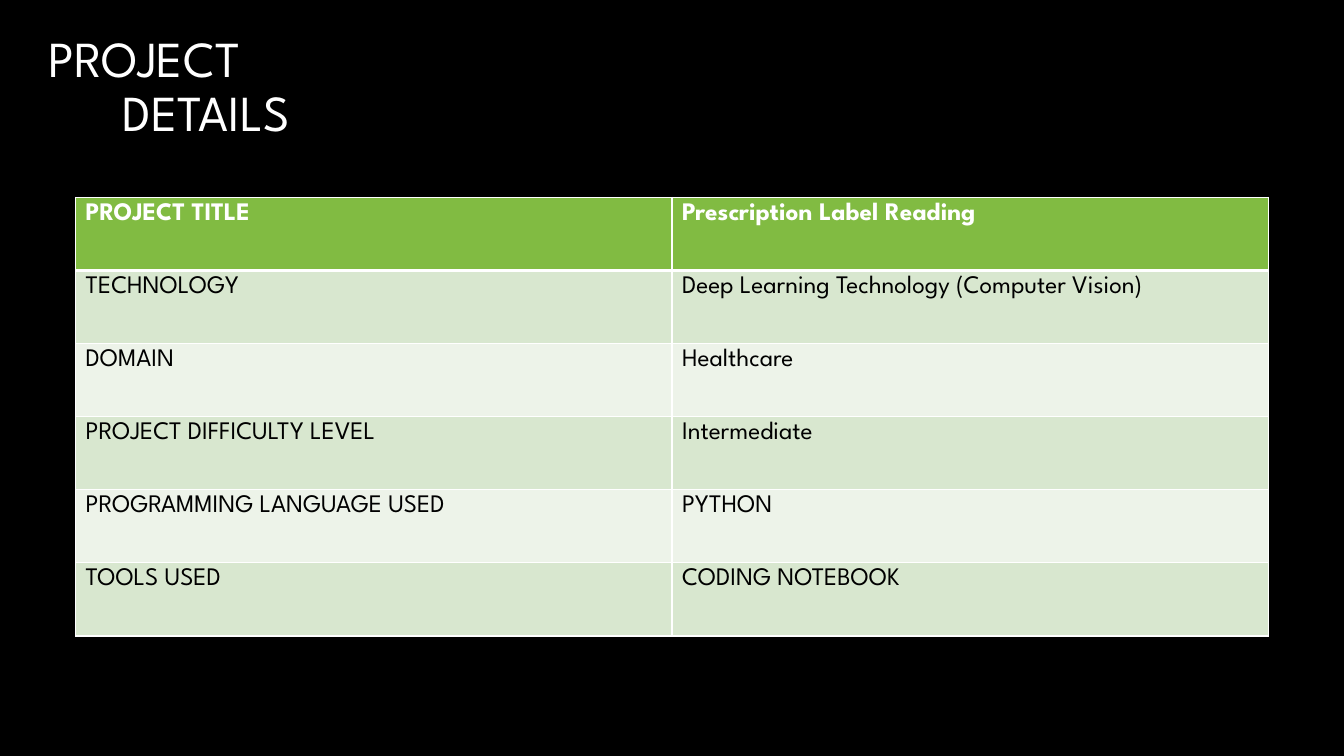
"""Build the project details slide: a title above a two-column table."""
from lxml import etree
from pptx import Presentation
from pptx.dml.color import RGBColor
from pptx.enum import text
from pptx.oxml import ns
from pptx.util import Inches, Pt

TITLE = "PROJECT DETAILS"
DETAILS = [
    ("PROJECT TITLE", "Prescription Label Reading"),
    ("TECHNOLOGY", "Deep Learning Technology (Computer Vision)"),
    ("DOMAIN", "Healthcare"),
    ("PROJECT DIFFICULTY LEVEL", "Intermediate"),
    ("PROGRAMMING LANGUAGE USED", "PYTHON"),
    ("TOOLS USED", "CODING NOTEBOOK"),
]

FONT = "League Spartan"
BLACK = RGBColor(0x00, 0x00, 0x00)
WHITE = RGBColor(0xFF, 0xFF, 0xFF)
GREEN = RGBColor(0x81, 0xBB, 0x42)
BANDS = [RGBColor(0xED, 0xF3, 0xE9), RGBColor(0xD8, 0xE7, 0xCF)]
TITLE_INDENT = Inches(0.74)


def style(paragraph, size, color, bold=False):
    font = paragraph.font
    font.name, font.size, font.bold = FONT, Pt(size), bold
    font.color.rgb = color


def add_borders(cell, widths):
    properties = cell._tc.get_or_add_tcPr()
    for side, width in widths.items():
        line = etree.SubElement(properties, ns.qn(f"a:ln{side}"), w=str(Pt(width)))
        fill = etree.SubElement(line, ns.qn("a:solidFill"))
        etree.SubElement(fill, ns.qn("a:srgbClr"), val=str(WHITE))


deck = Presentation()
deck.slide_width, deck.slide_height = Inches(13.33), Inches(7.5)
slide = deck.slides.add_slide(deck.slide_layouts[6])
slide.background.fill.solid()
slide.background.fill.fore_color.rgb = BLACK

title = slide.shapes.add_textbox(
    Inches(0.38), Inches(0.25), Inches(2.73), Inches(1.25)).text_frame
title.word_wrap = True
title.vertical_anchor = text.MSO_ANCHOR.MIDDLE
heading = title.paragraphs[0]
heading.text = TITLE
heading.line_spacing = 0.9
style(heading, 36, WHITE)
hanging = heading._p.get_or_add_pPr()
hanging.set("marL", str(TITLE_INDENT))
hanging.set("indent", str(-TITLE_INDENT))

table = slide.shapes.add_table(
    len(DETAILS), 2, Inches(0.75), Inches(1.96), Inches(11.83), Inches(4.35)).table
for row, detail in enumerate(DETAILS):
    header = row == 0
    for column, wording in enumerate(detail):
        cell = table.cell(row, column)
        cell.text = wording
        style(cell.text_frame.paragraphs[0], 18, WHITE if header else BLACK, header)
        add_borders(cell, {"L": 1, "R": 1, "T": 3 if row == 1 else 1,
                           "B": 3 if header else 1})
        cell.fill.solid()
        cell.fill.fore_color.rgb = GREEN if header else BANDS[row % 2]

deck.save("out.pptx")
